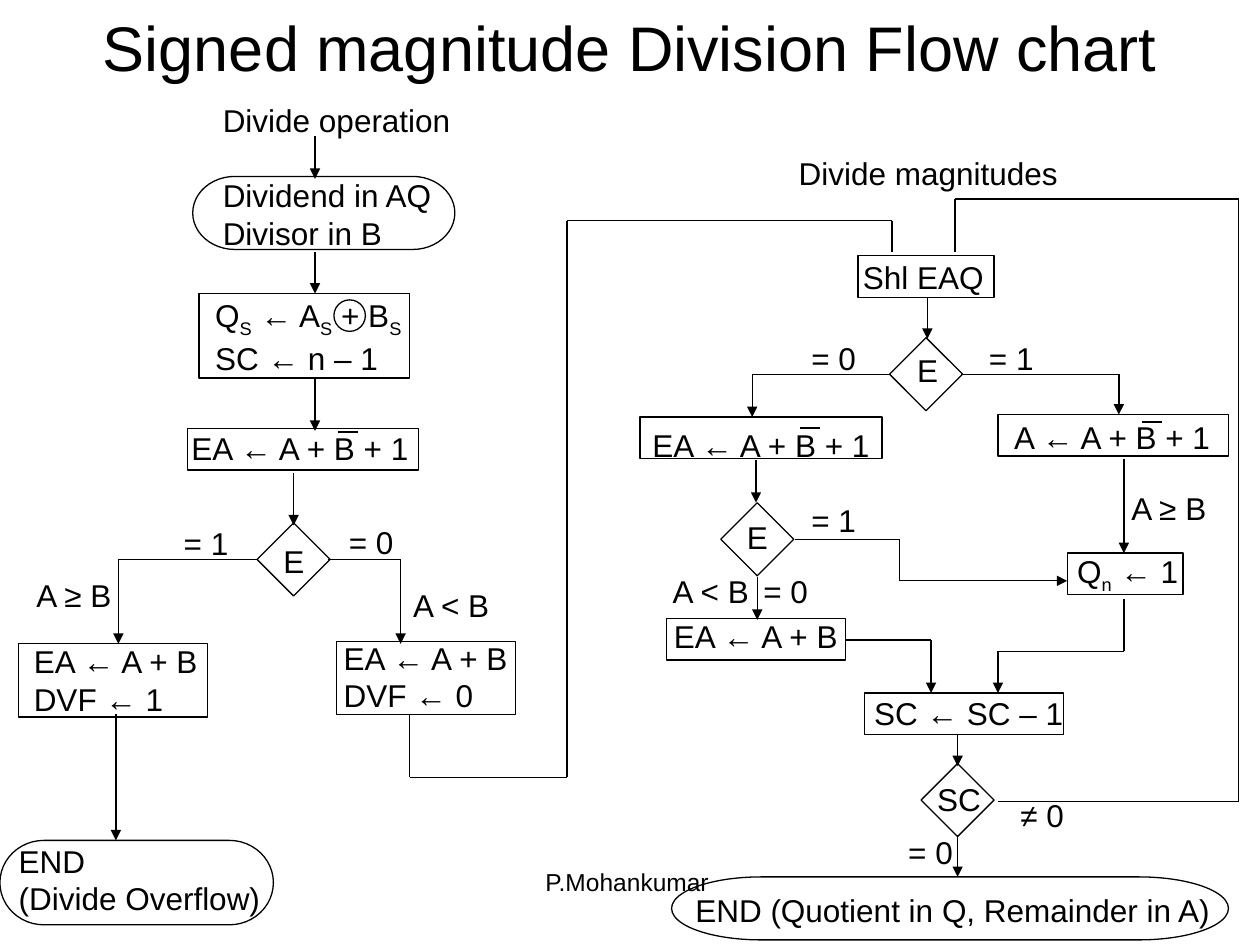
import pptx
import pptx.util
import pptx.dml.color
import pptx.oxml.ns
from lxml import etree
from pptx.enum.shapes import MSO_CONNECTOR, MSO_SHAPE
from pptx.enum.text import MSO_ANCHOR, MSO_AUTO_SIZE, PP_ALIGN

Inches, Pt = pptx.util.Inches, pptx.util.Pt
BLACK = pptx.dml.color.RGBColor(0, 0, 0)
FONT = "Arial"
TITLE = "Signed magnitude Division Flow chart"
FOOTER = "P.Mohankumar "

# left, top, width, lines
LABELS = [
    (1.67, 0.75, 2.0, ["Divide operation"]),
    (1.67, 1.35, 1.86, ["Dividend in AQ", "Divisor in B"]),
    (1.42, 3.36, 2.03, ["EA ← A + B + 1"]),
    (2.15, 4.25, 0.36, ["E"]),
    (1.36, 4.11, 0.55, ["= 1"]),
    (2.67, 4.10, 0.55, ["= 0"]),
    (0.19, 4.52, 0.81, ["A ≥ B"]),
    (3.18, 4.60, 0.82, ["A < B"]),
    (0.17, 5.05, 1.54, ["EA ← A + B", "DVF ← 1"]),
    (2.63, 5.02, 1.54, ["EA ← A + B", "DVF ← 0"]),
    (0.05, 6.63, 2.11, ["END", "(Divide Overflow)"]),
    (6.24, 1.17, 2.25, ["Divide magnitudes"]),
    (6.75, 2.00, 1.16, ["Shl EAQ"]),
    (7.18, 2.74, 0.36, ["E"]),
    (6.34, 2.64, 0.55, ["= 0"]),
    (7.75, 2.64, 0.55, ["= 1"]),
    (5.08, 3.33, 2.03, ["EA ← A + B + 1"]),
    (7.95, 3.27, 1.8, ["A ← A + B + 1"]),
    (5.83, 4.06, 0.36, ["E"]),
    (6.34, 3.93, 0.55, ["= 1"]),
    (5.96, 4.49, 0.55, ["= 0"]),
    (5.24, 4.49, 0.82, ["A < B"]),
    (8.88, 3.83, 0.81, ["A ≥ B"]),
    (5.25, 4.85, 1.54, ["EA ← A + B"]),
    (8.45, 4.33, 1.0, [("Q", "n", " ← 1")]),
    (6.84, 5.46, 1.7, ["SC ← SC – 1"]),
    (7.34, 6.14, 0.54, ["SC"]),
    (8.00, 6.27, 0.54, ["≠ 0"]),
    (7.11, 6.56, 0.55, ["= 0"]),
    (5.42, 7.02, 4.31, ["END (Quotient in Q, Remainder in A)"]),
]
SIGN_LABEL = (1.61, 2.30, 1.69,
              [("Q", "S", " ← A", "S", " + B", "S"), "SC ← n – 1"])
SIGN_BOX = (1.58, 2.33, 1.67, 0.67)
XOR_RING = (2.65, 2.38, 0.25, 0.25)

PROCESSES = [
    (1.49, 3.40, 1.83, 0.33), (0.15, 5.11, 1.5, 0.58), (2.67, 5.09, 1.42, 0.58),
    (6.86, 5.50, 1.58, 0.33), (5.29, 4.91, 1.42, 0.33), (8.47, 4.39, 0.92, 0.33),
    (7.92, 3.29, 1.83, 0.33), (5.08, 3.31, 1.92, 0.33), (6.81, 2.03, 1.08, 0.33),
]
TERMINATORS = [(1.53, 1.40, 2.08, 0.58), (0, 6.67, 2.17, 0.67), (5.33, 6.96, 4.42, 0.5)]
DECISIONS = [(x, y, 0.58, 0.58)
             for x, y in [(2.04, 4.15), (5.72, 3.99), (7.06, 2.68), (7.31, 6.06)]]

# x, from y, to y
DOWN_ARROWS = [
    (2.5, 1.08, 1.42), (2.5, 2.0, 2.33), (2.5, 3.0, 3.42), (2.33, 3.75, 4.17),
    (0.92, 5.67, 6.67), (7.36, 2.36, 2.69), (6.0, 3.65, 3.99), (6.01, 4.58, 4.92),
    (7.6, 5.83, 6.08), (7.6, 6.63, 6.96), (8.92, 3.64, 4.39),
]
# routes of several segments; the last segment carries the arrowhead
ARROW_ROUTES = [
    [(2.04, 4.44), (0.94, 4.44), (0.94, 5.11)],
    [(2.6, 4.44), (3.18, 4.44), (3.18, 5.11)],
    [(7.63, 2.97), (8.88, 2.97), (8.88, 3.29)],
    [(7.06, 2.97), (5.97, 2.97), (5.97, 3.31)],
    [(6.31, 4.28), (7.14, 4.28), (7.14, 4.61), (8.47, 4.61)],
    [(8.92, 4.75), (8.92, 5.17), (7.92, 5.17), (7.92, 5.5)],
    [(6.71, 5.08), (7.39, 5.08), (7.39, 5.5)],
]
PLAIN_ROUTES = [
    [(3.25, 5.67), (3.25, 6.17), (4.5, 6.17), (4.5, 1.75), (7.08, 1.75), (7.08, 2.0)],
    [(7.92, 6.36), (9.83, 6.36), (9.83, 1.58), (7.58, 1.58), (7.58, 2.0)],
]
BARS_OVER_B = [(6.35, 3.40), (9.06, 3.35), (2.68, 3.43)]
BAR_WIDTH = 0.16


def add_run(p, text, size, subscript=False):
    r = p.add_run()
    r.text = text
    r.font.name, r.font.size = FONT, Pt(size)
    r.font.color.rgb = BLACK
    if subscript:
        r._r.get_or_add_rPr().set("baseline", "-25000")


def add_label(s, left, top, width, lines):
    """Add text lines; in a tuple every second run is a subscript."""
    height = 0.1 + 0.3 * len(lines)
    tb = s.shapes.add_textbox(Inches(left), Inches(top), Inches(width), Inches(height))
    tf = tb.text_frame
    tf.word_wrap = True
    tf.margin_right = 0  # spare room, so that a tight line does not wrap
    tf.auto_size = MSO_AUTO_SIZE.NONE
    for i, line in enumerate(lines):
        p = tf.paragraphs[0] if i == 0 else tf.add_paragraph()
        runs = (line,) if isinstance(line, str) else line
        for j, text in enumerate(runs):
            add_run(p, text, 18, subscript=j % 2 == 1)
    return tb


def add_outline(s, kind, box):
    sp = s.shapes.add_shape(kind, *[Inches(v) for v in box])
    sp.shadow.inherit = False
    sp.fill.background()
    sp.line.color.rgb = BLACK
    sp.line.width = Pt(0.75)
    return sp


def add_line(s, start, end, arrow=False, width=0.75):
    c = s.shapes.add_connector(MSO_CONNECTOR.STRAIGHT, *[Inches(v) for v in start + end])
    c.line.color.rgb = BLACK
    c.line.width = Pt(width)
    qn = pptx.oxml.ns.qn
    if arrow:
        etree.SubElement(c.line._get_or_add_ln(), qn("a:tailEnd"), type="triangle")
    etree.SubElement(c._element.spPr, qn("a:effectLst"))


def add_route(s, points, arrow):
    last = len(points) - 2
    for i, (start, end) in enumerate(zip(points, points[1:])):
        add_line(s, start, end, arrow and i == last)


def main():
    prs = pptx.Presentation()
    prs.slide_width, prs.slide_height = Inches(10), Inches(7.5)
    s = prs.slides.add_slide(prs.slide_layouts[5])

    title = s.shapes.title
    title.left, title.top = Inches(0.5), Inches(0.08)
    title.width, title.height = Inches(9), Inches(0.58)
    tf = title.text_frame
    tf.vertical_anchor = MSO_ANCHOR.MIDDLE
    tf.auto_size = MSO_AUTO_SIZE.NONE
    tf.paragraphs[0].alignment = PP_ALIGN.CENTER
    add_run(tf.paragraphs[0], TITLE, 36)

    footer = s.shapes.add_textbox(Inches(3.42), Inches(6.83), Inches(3.17), Inches(0.52))
    footer.text_frame.word_wrap = True
    p = footer.text_frame.paragraphs[0]
    p.alignment = PP_ALIGN.CENTER
    add_run(p, FOOTER, 14)

    for label in LABELS:
        add_label(s, *label)
    for kind, boxes in [(MSO_SHAPE.RECTANGLE, PROCESSES),
                        (MSO_SHAPE.FLOWCHART_TERMINATOR, TERMINATORS),
                        (MSO_SHAPE.FLOWCHART_DECISION, DECISIONS)]:
        for box in boxes:
            add_outline(s, kind, box)
    s.shapes.add_group_shape([add_label(s, *SIGN_LABEL),
                              add_outline(s, MSO_SHAPE.RECTANGLE, SIGN_BOX),
                              add_outline(s, MSO_SHAPE.OVAL, XOR_RING)])

    for x, y1, y2 in DOWN_ARROWS:
        add_line(s, (x, y1), (x, y2), arrow=True)
    for points in ARROW_ROUTES:
        add_route(s, points, arrow=True)
    for points in PLAIN_ROUTES:
        add_route(s, points, arrow=False)
    for x, y in BARS_OVER_B:
        add_line(s, (x, y), (x + BAR_WIDTH, y), width=1.16)

    prs.save("out.pptx")


if __name__ == "__main__":
    main()
